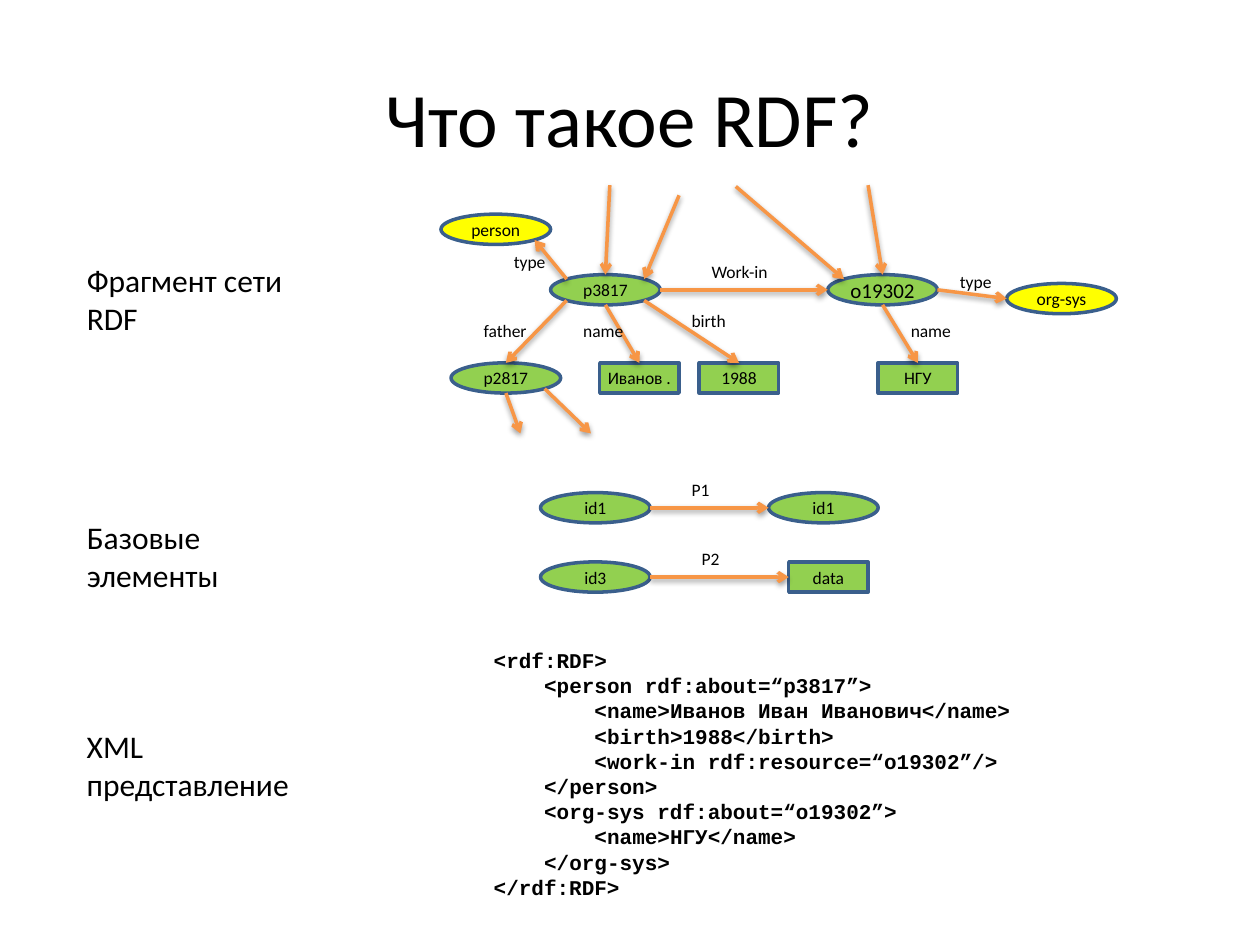
import pptx
import pptx.dml.color
import pptx.enum.shapes
import pptx.enum.text
import pptx.oxml
import pptx.oxml.ns
import pptx.util
from lxml import etree

Inches = pptx.util.Inches
RGBColor = pptx.dml.color.RGBColor
qn = pptx.oxml.ns.qn
ALIGN = pptx.enum.text.PP_ALIGN
ANCHOR = pptx.enum.text.MSO_ANCHOR
SHAPE = pptx.enum.shapes.MSO_SHAPE

BLACK = RGBColor(0x00, 0x00, 0x00)
GREEN = RGBColor(0x92, 0xD0, 0x50)
YELLOW = RGBColor(0xFF, 0xFF, 0x00)
OUTLINE = RGBColor(0x3A, 0x5F, 0x8C)
ORANGE = RGBColor(0xF7, 0x96, 0x46)

NODE_HEIGHT = 0.24
WIDTHS = {SHAPE.OVAL: 0.87, SHAPE.RECTANGLE: 0.63}
CODE_INDENT = 0.4

SHADOW = (
    '<a:effectLst xmlns:a="http://schemas.openxmlformats.org/drawingml/2006/main">'
    '<a:outerShdw blurRad="40000" dist="20000" dir="5400000" rotWithShape="0">'
    '<a:srgbClr val="000000"><a:alpha val="38000"/></a:srgbClr>'
    '</a:outerShdw></a:effectLst>'
)

# Oval connection sites: index, then offset from the centre in half sizes
DIAGONAL = 0.5 ** 0.5
SITES = {
    "top": (0, 0, -1),
    "top left": (1, -DIAGONAL, -DIAGONAL),
    "left": (2, -1, 0),
    "bottom left": (3, -DIAGONAL, DIAGONAL),
    "bottom": (4, 0, 1),
    "bottom right": (5, DIAGONAL, DIAGONAL),
    "right": (6, 1, 0),
    "top right": (7, DIAGONAL, -DIAGONAL),
}
RECTANGLE_SITES = {"top": 0, "left": 1}


def write_text(shape, lines, size=10, font="Calibri", bold=False,
               align=ALIGN.LEFT, anchor=ANCHOR.TOP, wrap=True):
    """Fill a shape with (indent level, text) lines or one string."""
    frame = shape.text_frame
    frame.word_wrap = wrap
    frame.vertical_anchor = anchor
    if isinstance(lines, str):
        lines = [(0, lines)]
    for number, (level, text) in enumerate(lines):
        paragraph = frame.add_paragraph() if number else frame.paragraphs[0]
        paragraph.alignment = align
        if level:
            indent = Inches(CODE_INDENT * level)
            paragraph._p.get_or_add_pPr().set("marL", str(indent))
        run = paragraph.add_run()
        run.text = text
        run.font.size = pptx.util.Pt(size)
        run.font.name = font
        run.font.bold = bold
        run.font.color.rgb = BLACK


def locate(end):
    """Return the point of a (node name, site) pair or of a free (x, y) end."""
    if not isinstance(end[0], str):
        return Inches(end[0]), Inches(end[1])
    node = nodes[end[0]]
    index, across, down = SITES[end[1]]
    return (int(node.left + node.width * (1 + across) / 2),
            int(node.top + node.height * (1 + down) / 2))


presentation = pptx.Presentation()
presentation.slide_width = Inches(10)
presentation.slide_height = Inches(7.5)
slide = presentation.slides.add_slide(presentation.slide_layouts[6])

# Title
title = slide.shapes.add_textbox(Inches(0.5), Inches(0.3), Inches(9), Inches(1.25))
write_text(title, "Что такое RDF?", size=44, align=ALIGN.CENTER, anchor=ANCHOR.MIDDLE)

# Nodes of the network and of the basic elements
nodes = {}
for name, text, kind, fill, left, top, size in [
    ("p3817", "p3817", SHAPE.OVAL, GREEN, 4.37, 2.18, 10),
    ("o19302", "o19302", SHAPE.OVAL, GREEN, 6.57, 2.18, 12),
    ("p2817", "p2817", SHAPE.OVAL, GREEN, 3.58, 2.88, 10),
    ("surname", "Иванов .", SHAPE.RECTANGLE, GREEN, 4.76, 2.88, 10),
    ("year", "1988", SHAPE.RECTANGLE, GREEN, 5.55, 2.88, 10),
    ("university", "НГУ", SHAPE.RECTANGLE, GREEN, 6.97, 2.88, 10),
    ("org-sys", "org-sys", SHAPE.OVAL, YELLOW, 7.99, 2.25, 10),
    ("person", "person", SHAPE.OVAL, YELLOW, 3.5, 1.7, 10),
    ("subject 1", "id1", SHAPE.OVAL, GREEN, 4.29, 3.91, 10),
    ("object 1", "id1", SHAPE.OVAL, GREEN, 6.1, 3.91, 10),
    ("subject 2", "id3", SHAPE.OVAL, GREEN, 4.29, 4.46, 10),
    ("object 2", "data", SHAPE.RECTANGLE, GREEN, 6.26, 4.46, 10),
]:
    node = slide.shapes.add_shape(kind, Inches(left), Inches(top),
                                  Inches(WIDTHS[kind]), Inches(NODE_HEIGHT))
    node.shadow.inherit = False
    node.fill.solid()
    node.fill.fore_color.rgb = fill
    node.line.color.rgb = OUTLINE
    node.line.width = pptx.util.Pt(2)
    write_text(node, text, size=size, align=ALIGN.CENTER,
               anchor=ANCHOR.MIDDLE, wrap=False)
    nodes[name] = node

# Arrows, glued to the nodes they touch
for start, finish in [
    (("p3817", "right"), ("o19302", "left")),
    (("o19302", "right"), ("org-sys", "left")),
    (("p3817", "top left"), ("person", "bottom right")),
    ((4.84, 1.47), ("p3817", "top")),
    ((5.39, 1.55), ("p3817", "top right")),
    ((5.84, 1.48), ("o19302", "top left")),
    ((6.89, 1.47), ("o19302", "top")),
    (("p3817", "bottom left"), ("p2817", "top")),
    (("p3817", "bottom"), ("surname", "top")),
    (("p3817", "bottom right"), ("year", "top")),
    (("o19302", "bottom"), ("university", "top")),
    (("p2817", "bottom right"), (4.69, 3.44)),
    (("p2817", "bottom"), (4.13, 3.44)),
    (("subject 1", "right"), ("object 1", "left")),
    (("subject 2", "right"), ("object 2", "left")),
]:
    arrow = slide.shapes.add_connector(pptx.enum.shapes.MSO_CONNECTOR.STRAIGHT,
                                       *locate(start), *locate(finish))
    arrow.line.color.rgb = ORANGE
    arrow.line.width = pptx.util.Pt(2)
    etree.SubElement(arrow.line._get_or_add_ln(), qn("a:tailEnd"), type="arrow")
    arrow._element.spPr.append(pptx.oxml.parse_xml(SHADOW))
    glue = arrow._element.find(".//" + qn("p:cNvCxnSpPr"))
    for tag, end in [("a:stCxn", start), ("a:endCxn", finish)]:
        if isinstance(end[0], str):
            node = nodes[end[0]]
            site = SITES[end[1]][0]
            if node.auto_shape_type == SHAPE.RECTANGLE:
                site = RECTANGLE_SITES[end[1]]
            etree.SubElement(glue, qn(tag), id=str(node.shape_id), idx=str(site))

# Arrow labels and section captions
for text, left, top, width, height, size in [
    ("type", 3.98, 1.94, 0.47, 0.27, 10),
    ("type", 7.52, 2.1, 0.47, 0.27, 10),
    ("Work-in", 5.55, 2.02, 0.71, 0.27, 10),
    ("name", 7.13, 2.49, 0.55, 0.27, 10),
    ("name", 4.53, 2.49, 0.55, 0.27, 10),
    ("birth", 5.39, 2.41, 0.63, 0.27, 10),
    ("father", 3.74, 2.49, 0.63, 0.27, 10),
    ("P1", 5.39, 3.75, 0.55, 0.27, 10),
    ("P2", 5.47, 4.3, 0.55, 0.27, 10),
    ("Фрагмент сети RDF", 0.59, 2.02, 1.81, 0.71, 18),
    ("Базовые элементы", 0.59, 4.06, 1.89, 0.71, 18),
    ("XML представление", 0.59, 5.72, 1.97, 0.71, 18),
]:
    label = slide.shapes.add_textbox(Inches(left), Inches(top),
                                     Inches(width), Inches(height))
    write_text(label, text, size=size)

# XML listing
listing = slide.shapes.add_textbox(Inches(3.82), Inches(5.09), Inches(4.96), Inches(2.12))
write_text(listing, [
    (0, "<rdf:RDF>"),
    (1, "<person rdf:about=“p3817”>"),
    (2, "<name>Иванов Иван Иванович</name>"),
    (2, "<birth>1988</birth>"),
    (2, "<work-in rdf:resource=“o19302”/>"),
    (1, "</person>"),
    (1, "<org-sys rdf:about=“o19302”>"),
    (2, "<name>НГУ</name>"),
    (1, "</org-sys>"),
    (0, "</rdf:RDF>"),
], size=12, font="Courier New", bold=True)

presentation.save("out.pptx")
